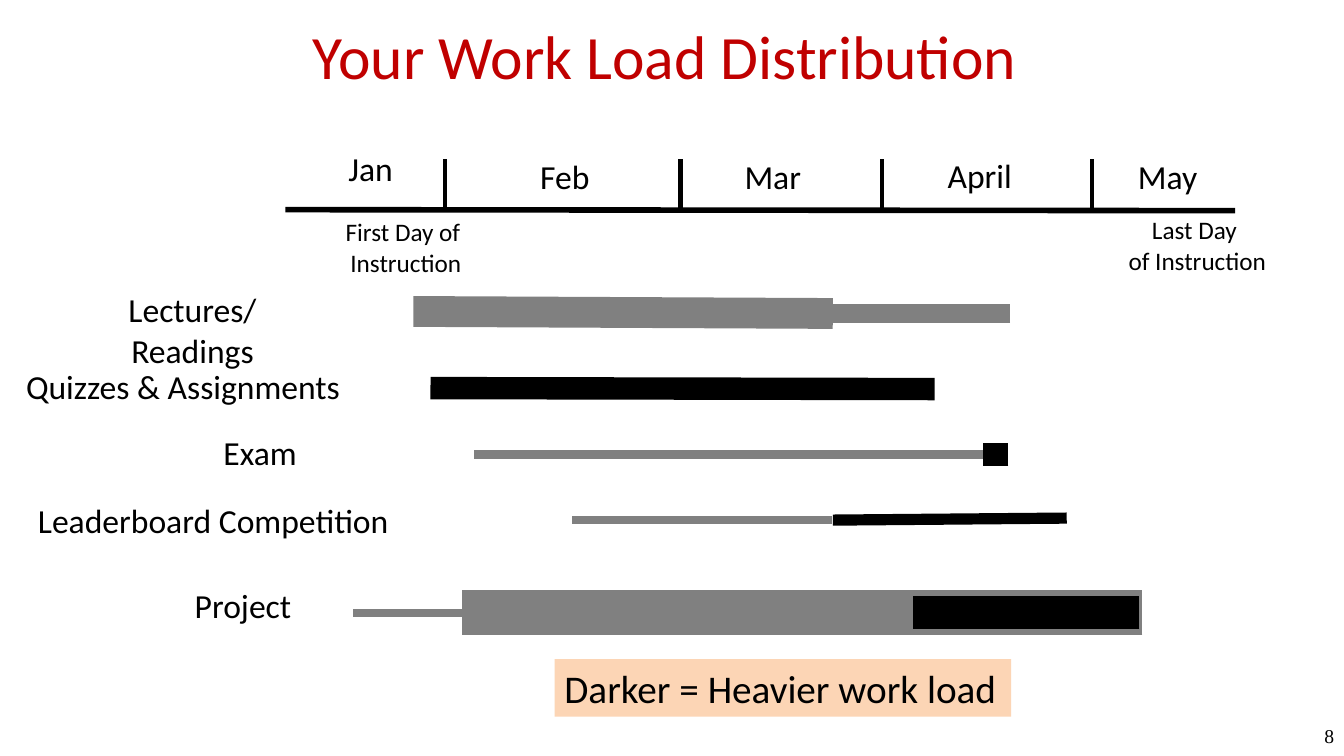
from lxml import etree
from pptx import Presentation
from pptx.dml.color import RGBColor
from pptx.enum.shapes import MSO_CONNECTOR, MSO_SHAPE
from pptx.enum.text import MSO_ANCHOR, PP_ALIGN
from pptx.oxml.ns import qn
from pptx.util import Inches, Pt

STRAIGHT = MSO_CONNECTOR.STRAIGHT
RECTANGLE = MSO_SHAPE.RECTANGLE
TOP, MIDDLE = MSO_ANCHOR.TOP, MSO_ANCHOR.MIDDLE
LEFT, CENTER, RIGHT = PP_ALIGN.LEFT, PP_ALIGN.CENTER, PP_ALIGN.RIGHT

BLACK, GREY, RED, PEACH = "000000", "808080", "C00000", "FCD5B5"

TITLE = "Your Work Load Distribution "
PAGE_NUMBER = "8"
LEGEND = "Darker = Heavier work load"

MONTHS = [
    ("Jan ", 3.33, 1.42, 0.69),
    ("Feb ", 5.25, 1.5, 0.78),
    ("Mar ", 7.25, 1.5, 0.83),
    ("April ", 9.27, 1.49, 0.97),
    ("May ", 11.16, 1.5, 0.84),
]
MONTH_ENDS = [4.41, 6.75, 8.75, 10.83]
TICK_TOP, AXIS_Y = 1.58, 2.08
AXIS = (2.83, AXIS_Y, 12.25, 2.09)

MILESTONES = [
    ("First Day of \nInstruction", 3.29, 2.1, 1.47),
    ("Last Day \nof Instruction", 11.08, 2.08, 1.59),
]

TASKS = [
    ("Lectures/\nReadings", 0.58, 2.82, 2.66, [
        (8.26, 3.11, 4.1, 3.09, GREY, 22),
        (10.02, 3.11, 8.25, 3.11, GREY, 14),
    ]),
    ("Quizzes & Assignments", 0.09, 3.58, 3.45, [
        (9.27, 3.86, 4.27, 3.85, BLACK, 16),
    ]),
    ("Exam", 2.11, 4.24, 0.94, [
        (9.79, 4.51, 4.7, 4.51, GREY, 6),
        (10, 4.51, 9.75, 4.51, BLACK, 16),
    ]),
    ("Leaderboard Competition", 0.23, 4.91, 3.77, [
        (10.58, 5.14, 8.26, 5.16, BLACK, 8),
        (8.25, 5.16, 5.67, 5.16, GREY, 6),
    ]),
    ("Project", 1.82, 5.75, 1.18, [
        (11.33, 6.08, 4.58, 6.08, GREY, 32.25),
        (11.3, 6.08, 9.06, 6.08, BLACK, 23.75),
        (4.58, 6.08, 3.5, 6.08, GREY, 6),
    ]),
]


def color(value):
    return RGBColor.from_string(value)


def write(shape, text, size, align=CENTER, font="Calibri", ink=BLACK,
          anchor=TOP, wrap=False):
    frame = shape.text_frame
    frame.text = text
    frame.word_wrap = wrap
    frame.vertical_anchor = anchor
    for paragraph in frame.paragraphs:
        paragraph.alignment = align
        for run in paragraph.runs:
            run.font.name = font
            run.font.size = Pt(size)
            run.font.color.rgb = color(ink)


def add_label(slide, text, left, top, width, height, size, **style):
    box = slide.shapes.add_textbox(
        Inches(left), Inches(top), Inches(width), Inches(height))
    write(box, text, size, **style)


def add_line(slide, x1, y1, x2, y2, ink, weight):
    line = slide.shapes.add_connector(
        STRAIGHT, Inches(x1), Inches(y1), Inches(x2), Inches(y2))
    line.line.color.rgb = color(ink)
    line.line.width = Pt(weight)
    etree.SubElement(line._element.spPr, qn("a:effectLst"))


def main():
    presentation = Presentation()
    presentation.slide_width = Inches(13.33)
    presentation.slide_height = Inches(7.5)
    slide = presentation.slides.add_slide(presentation.slide_layouts[6])

    add_label(slide, TITLE, 0, 0, 13.33, 1.08, 44,
              ink=RED, anchor=MIDDLE, wrap=True)
    add_label(slide, PAGE_NUMBER, 10.22, 7.1, 3.11, 0.4, 14, align=RIGHT,
              font="Times New Roman", anchor=MIDDLE, wrap=True)

    add_line(slide, *AXIS, BLACK, 4)
    for x in MONTH_ENDS:
        add_line(slide, x, TICK_TOP, x, AXIS_Y, BLACK, 3)
    for name, left, top, width in MONTHS:
        add_label(slide, name, left, top, width, 0.5, 24)
    for text, left, top, width in MILESTONES:
        add_label(slide, text, left, top, width, 0.71, 18)

    for name, left, top, width, bars in TASKS:
        add_label(slide, name, left, top, width, 0.5, 24)
        for bar in bars:
            add_line(slide, *bar)

    legend = slide.shapes.add_shape(
        RECTANGLE, Inches(5.5), Inches(6.54), Inches(4.53), Inches(0.57))
    legend.shadow.inherit = False
    legend.fill.solid()
    legend.fill.fore_color.rgb = color(PEACH)
    legend.line.fill.background()
    write(legend, LEGEND, 28, align=LEFT)

    presentation.save("out.pptx")


if __name__ == "__main__":
    main()
